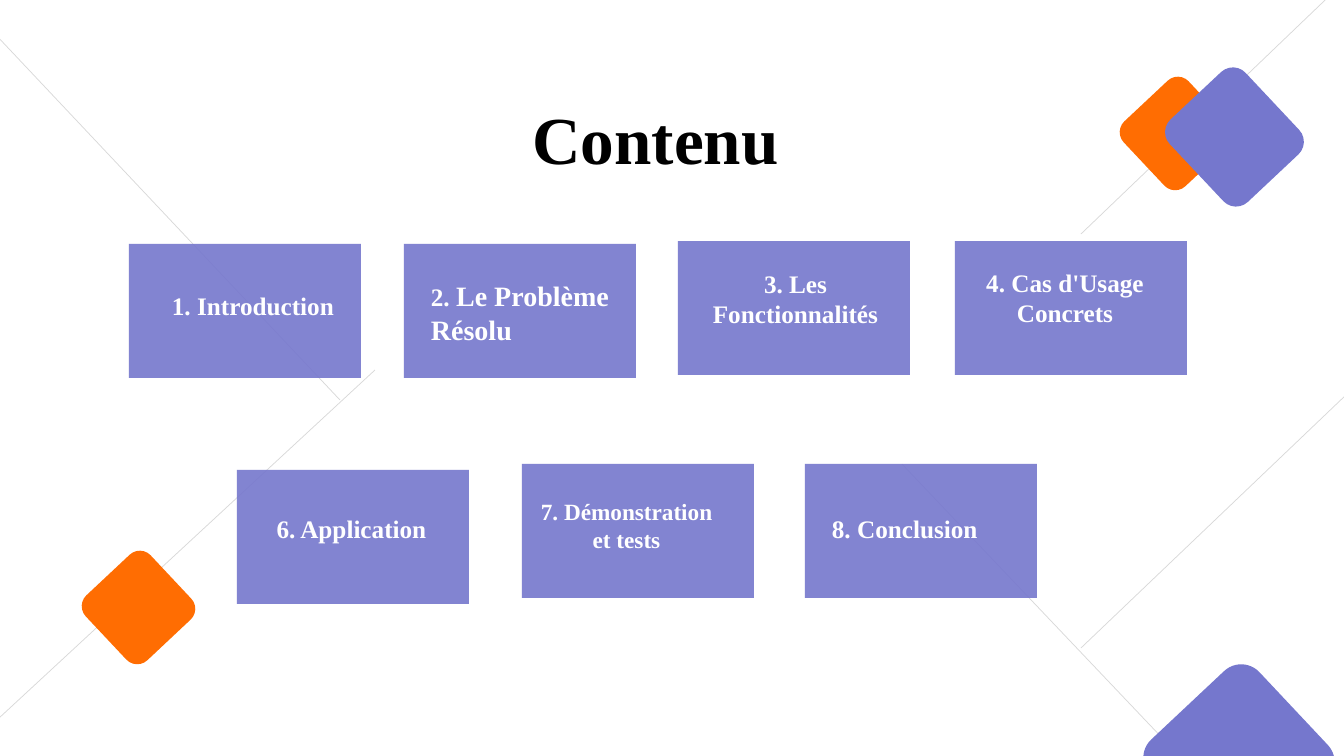
from lxml import etree
from pptx import Presentation, util as u
from pptx.dml.color import RGBColor
from pptx.enum import shapes, text
from pptx.oxml.ns import qn

COLORS = {"violet": "7577CD", "orange": "FF6D02", "grey": "D8D8D8",
          "white": "FFFFFF", "black": "000000"}
FONT = "Times New Roman"
PX = 914400 / 100.8
CARD_W, CARD_H = 232, 134
LEFT, CENTER = text.PP_ALIGN.LEFT, text.PP_ALIGN.CENTER

TITLE = ("Contenu", (76, 99, 1159, 87))
DIAGONALS = [
    (-38, -1, 340, 400),
    (902, 464, 1319, 903),
    (1081, 648, 1346, 395),
    (-42, 756, 375, 370),
    (1081, 234, 1393, -65),
]
SECTIONS = [
    ((129, 244), (162, 285, 186, 40), LEFT, [("1. Introduction", 18)]),
    ((404, 244), (421, 274, 212, 78), LEFT, [("2. ", 18), ("Le Problème Résolu", 20)]),
    ((678, 241), (700, 263, 191, 72), CENTER, [("3. Les Fonctionnalités", 18)]),
    ((955, 241), (962, 262, 206, 91), CENTER, [("4. Cas d'Usage Concrets", 18)]),
    ((237, 470), (249, 508, 205, 86), CENTER, [("6. Application", 18)]),
    ((522, 464), (524, 492, 205, 86), CENTER, [("7. Démonstration et tests", 16.6)]),
    ((805, 464), (822, 508, 178, 91), LEFT, [("8. Conclusion", 18)]),
]
DIAMONDS = [
    ((1164, 685, 150, 150), "violet"),
    ((94, 563, 89, 89), "orange"),
    ((1132, 89, 89, 89), "orange"),
    ((1178, 85, 113, 104), "violet"),
]
TILT = 46.8


def emu(lengths):
    return [round(length * PX) for length in lengths]


def rgb(name):
    return RGBColor.from_string(COLORS[name])


def add_diagonal(slide, ends):
    diagonal = slide.shapes.add_connector(shapes.MSO_CONNECTOR.STRAIGHT, *emu(ends))
    diagonal.line.color.rgb = rgb("grey")
    diagonal.line.width = u.Pt(0.5)
    etree.SubElement(diagonal._element.spPr, qn("a:effectLst"))


def add_block(slide, kind, box, color):
    block = slide.shapes.add_shape(kind, *emu(box))
    block.shadow.inherit = False
    block.fill.solid()
    block.fill.fore_color.rgb = rgb(color)
    block.line.fill.background()
    return block


def add_label(slide, box, align, pieces, color):
    frame = slide.shapes.add_textbox(*emu(box)).text_frame
    frame.word_wrap = True
    paragraph = frame.paragraphs[0]
    paragraph.alignment = align
    for words, size in pieces:
        run = paragraph.add_run()
        run.text = words
        run.font.name = FONT
        run.font.size = u.Pt(size)
        run.font.bold = True
        run.font.color.rgb = rgb(color)
    return frame


def main():
    deck = Presentation()
    deck.slide_width, deck.slide_height = emu((1344, 756))
    slide = deck.slides.add_slide(deck.slide_layouts[6])

    for ends in DIAGONALS:
        add_diagonal(slide, ends)

    heading, heading_box = TITLE
    title = add_label(slide, heading_box, CENTER, [(heading, 48)], "black")
    title.vertical_anchor = text.MSO_ANCHOR.MIDDLE
    title.paragraphs[0].line_spacing = 0.9

    for corner, label_box, align, pieces in SECTIONS:
        card = add_block(slide, shapes.MSO_SHAPE.RECTANGLE,
                         (*corner, CARD_W, CARD_H), "violet")
        tint = card._element.spPr.find(qn("a:solidFill"))[0]
        etree.SubElement(tint, qn("a:alpha"), val="90000")
        add_label(slide, label_box, align, pieces, "white")

    for box, color in DIAMONDS:
        diamond = add_block(slide, shapes.MSO_SHAPE.ROUNDED_RECTANGLE, box, color)
        diamond.rotation = TILT

    deck.save("out.pptx")


if __name__ == "__main__":
    main()
